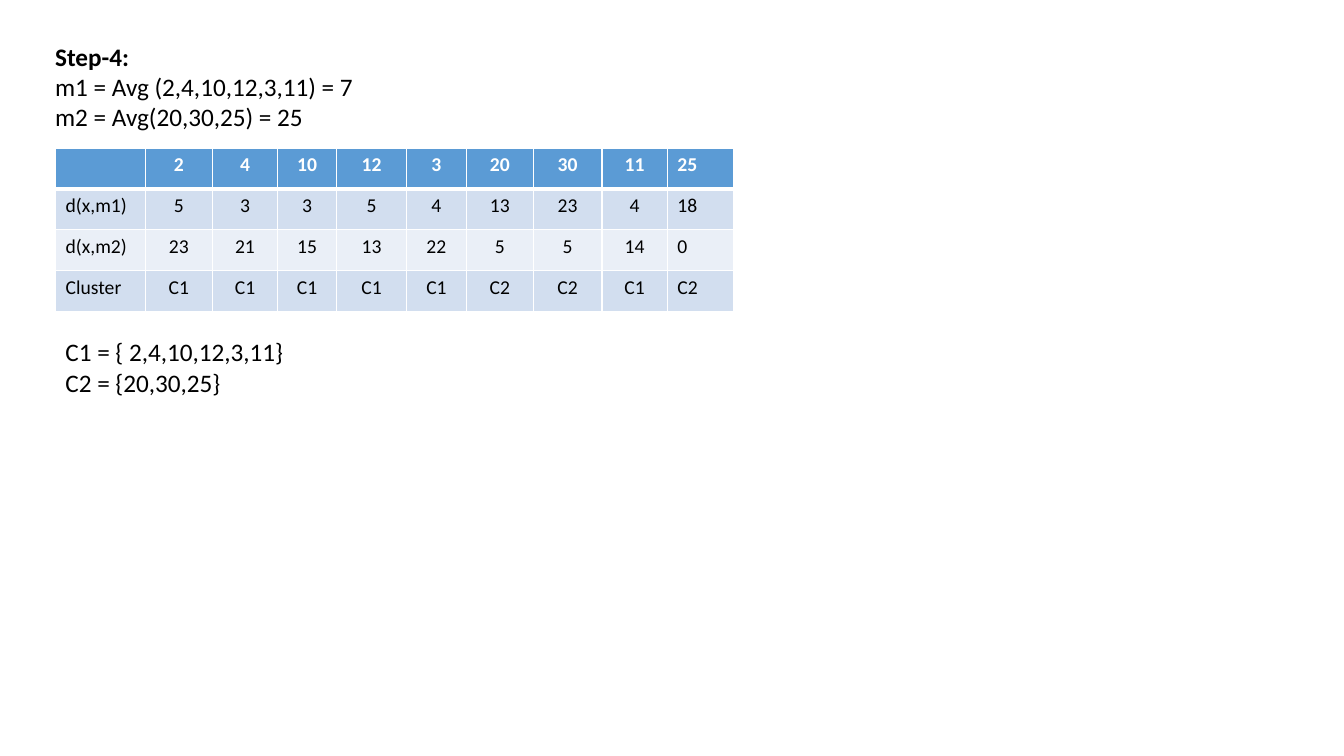
from dataclasses import dataclass

import pptx
import pptx.dml.color
import pptx.enum.text
import pptx.oxml
import pptx.oxml.ns
import pptx.util

Cm = pptx.util.Cm
Pt = pptx.util.Pt
PP_ALIGN = pptx.enum.text.PP_ALIGN

FONT = "Calibri"
BLACK, WHITE = "000000", "FFFFFF"
HEADER_FILL = "5B9BD5"
BAND_FILLS = ("D2DEEF", "EAEFF7")

POINTS = (2, 4, 10, 12, 3, 20, 30, 11, 25)
M1, M2 = 7, 25
TABLE_LEFT, TABLE_TOP, ROW_HEIGHT = 1.4, 3.73, 1.03
COL_WIDTHS = (2.26, 1.7, 1.63, 1.5, 1.75, 1.52, 1.68, 1.73, 1.65, 1.68)


@dataclass
class Line:
    text: str
    bold: bool = False


@dataclass
class TextBlock:
    left: float
    top: float
    width: float
    height: float
    lines: tuple[Line, ...]


BLOCKS = (
    TextBlock(1.14, 0.91, 16.93, 2.57, (
        Line("Step-4:", bold=True),
        Line("m1 = Avg (2,4,10,12,3,11) = 7"),
        Line("m2 = Avg(20,30,25) = 25"),
    )),
    TextBlock(1.4, 8.36, 16.93, 1.8, (
        Line("C1 = { 2,4,10,12,3,11}"),
        Line("C2 = {20,30,25}"),
    )),
)


def rgb(color: str) -> pptx.dml.color.RGBColor:
    return pptx.dml.color.RGBColor.from_string(color)


def add_run(p, text: str, size: float, color: str, bold: bool) -> None:
    r = p.add_run()
    r.text = text
    r.font.name = FONT
    r.font.size = Pt(size)
    r.font.bold = bold
    r.font.color.rgb = rgb(color)


def add_block(slide, block: TextBlock) -> None:
    sp = slide.shapes.add_textbox(
        Cm(block.left), Cm(block.top), Cm(block.width), Cm(block.height))
    tf = sp.text_frame
    tf.word_wrap = True
    tf.auto_size = pptx.enum.text.MSO_AUTO_SIZE.SHAPE_TO_FIT_TEXT
    for i, line in enumerate(block.lines):
        p = tf.add_paragraph() if i else tf.paragraphs[0]
        add_run(p, line.text, 18, BLACK, line.bold)


def set_borders(cell, top: float, bottom: float) -> None:
    tc_pr = cell._tc.get_or_add_tcPr()
    for side, width in (("L", 1), ("R", 1), ("T", top), ("B", bottom)):
        tc_pr.append(pptx.oxml.parse_xml(
            f'<a:ln{side} {pptx.oxml.ns.nsdecls("a")} w="{Pt(width)}">'
            f'<a:solidFill><a:srgbClr val="{WHITE}"/></a:solidFill></a:ln{side}>'))


def cluster_rows() -> list[list[str]]:
    d1 = [abs(x - M1) for x in POINTS]
    d2 = [abs(x - M2) for x in POINTS]
    clusters = ["C1" if a < b else "C2" for a, b in zip(d1, d2)]
    rows = (["", *POINTS], ["d(x,m1)", *d1], ["d(x,m2)", *d2], ["Cluster", *clusters])
    return [[str(value) for value in row] for row in rows]


def add_cluster_table(slide) -> None:
    rows = cluster_rows()
    table = slide.shapes.add_table(
        len(rows), len(COL_WIDTHS), Cm(TABLE_LEFT), Cm(TABLE_TOP),
        Cm(sum(COL_WIDTHS)), Cm(ROW_HEIGHT * len(rows))).table
    for column, width in zip(table.columns, COL_WIDTHS):
        column.width = Cm(width)
    last = len(COL_WIDTHS) - 1
    for i, row in enumerate(rows):
        table.rows[i].height = Cm(ROW_HEIGHT)
        header = i == 0
        for j, text in enumerate(row):
            cell = table.cell(i, j)
            set_borders(cell, top=3 if i == 1 else 1, bottom=3 if header else 1)
            cell.fill.solid()
            cell.fill.fore_color.rgb = rgb(HEADER_FILL if header else BAND_FILLS[(i - 1) % 2])
            p = cell.text_frame.paragraphs[0]
            p.alignment = PP_ALIGN.CENTER if 0 < j < last else PP_ALIGN.LEFT
            if text:
                add_run(p, text, 14, WHITE if header else BLACK, header)


def main() -> None:
    prs = pptx.Presentation()
    prs.slide_width, prs.slide_height = Cm(33.87), Cm(19.05)
    s = prs.slides.add_slide(prs.slide_layouts[6])
    for block in BLOCKS:
        add_block(s, block)
    add_cluster_table(s)
    prs.save("out.pptx")


if __name__ == "__main__":
    main()
